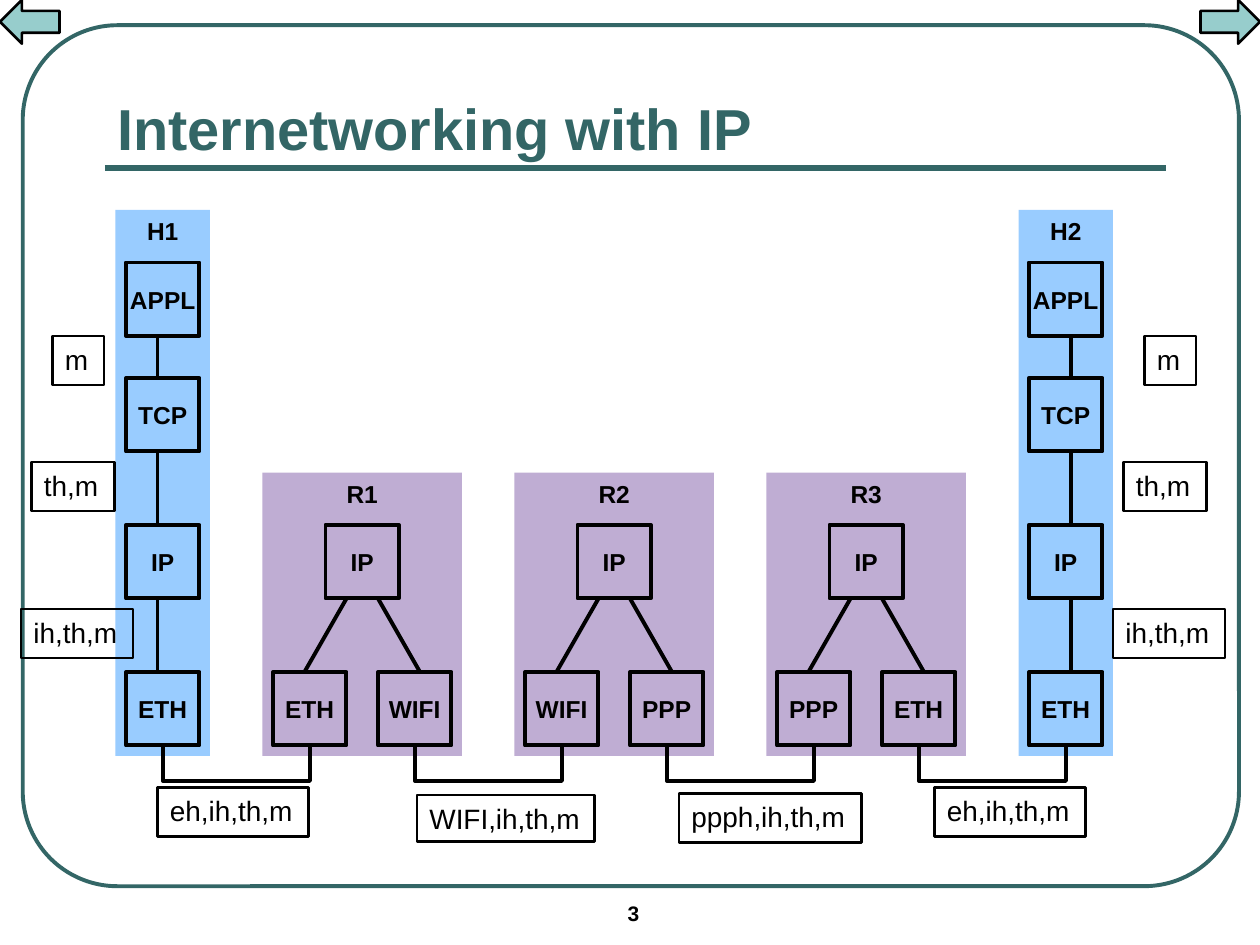
import pptx
import pptx.dml.color
import pptx.enum.shapes
import pptx.enum.text
import pptx.oxml
import pptx.oxml.ns
import pptx.util
import lxml.etree

Pt = pptx.util.Pt
RGBColor = pptx.dml.color.RGBColor
Shape = pptx.enum.shapes.MSO_SHAPE
Connector = pptx.enum.shapes.MSO_CONNECTOR
Anchor = pptx.enum.text.MSO_ANCHOR
Align = pptx.enum.text.PP_ALIGN
AutoSize = pptx.enum.text.MSO_AUTO_SIZE
qn = pptx.oxml.ns.qn

BLACK = RGBColor(0x00, 0x00, 0x00)
TEAL = RGBColor(0x33, 0x66, 0x66)
AQUA = RGBColor(0x97, 0xCD, 0xCC)
HOST_BLUE = RGBColor(0x99, 0xCC, 0xFF)
ROUTER_PURPLE = RGBColor(0xBF, 0xAD, 0xD3)

BOX = 42
IP_TOP, LINK_TOP = 300, 384


def write_text(shape, text, size=14, bold=True, color=BLACK, align=Align.CENTER,
               anchor=Anchor.TOP, wrap=False, auto_size=AutoSize.NONE):
    frame = shape.text_frame
    frame.word_wrap = wrap
    frame.auto_size = auto_size
    frame.vertical_anchor = anchor
    paragraph = frame.paragraphs[0]
    paragraph.alignment = align
    run = paragraph.add_run()
    run.text = text
    run.font.name = "Arial"
    run.font.size = Pt(size)
    run.font.bold = bold
    run.font.color.rgb = color


class Diagram:
    line_width = 2.25

    def __init__(self, slide):
        self.slide = slide

    def shape(self, kind, left, top, width, height, fill=None, line=None, line_width=line_width):
        shape = self.slide.shapes.add_shape(kind, Pt(left), Pt(top), Pt(width), Pt(height))
        shape.shadow.inherit = False
        if fill is None:
            shape.fill.background()
        else:
            shape.fill.solid()
            shape.fill.fore_color.rgb = fill
        if line is None:
            shape.line.fill.background()
        else:
            shape.line.color.rgb = line
            shape.line.width = Pt(line_width)
        return shape

    def text(self, text, left, top, width, height, **style):
        box = self.slide.shapes.add_textbox(Pt(left), Pt(top), Pt(width), Pt(height))
        write_text(box, text, align=Align.LEFT, wrap=True, **style)

    def panel(self, name, left, top, width, height, fill):
        write_text(self.shape(Shape.RECTANGLE, left, top, width, height, fill), name)

    def layer(self, name, left, top):
        box = self.shape(Shape.RECTANGLE, left, top, BOX, BOX, line=BLACK)
        write_text(box, name, anchor=Anchor.MIDDLE)

    def label(self, text, left, top, width, height=28):
        box = self.shape(Shape.RECTANGLE, left, top, width, height, line=BLACK, line_width=1.5)
        write_text(box, text, size=16, bold=False, align=Align.LEFT,
                   auto_size=AutoSize.SHAPE_TO_FIT_TEXT)

    def line(self, x1, y1, x2, y2, color=BLACK, width=line_width, kind=Connector.STRAIGHT):
        line = self.slide.shapes.add_connector(kind, Pt(x1), Pt(y1), Pt(x2), Pt(y2))
        line.line.color.rgb = color
        line.line.width = Pt(width)
        lxml.etree.SubElement(line.element.spPr, qn("a:effectLst"))
        return line

    def link(self, left, top, span, drop):
        """U-shaped connector: an elbow turned a quarter, bending below its ends."""
        thickness = 0.1
        center = left + span / 2
        link = self.line(center, top - span / 2, center + thickness, top + span / 2,
                         kind=Connector.ELBOW)
        properties = link.element.spPr
        transform = properties.find(qn("a:xfrm"))
        transform.set("rot", "16200000")
        transform.set("flipH", "1")
        geometry = properties.find(qn("a:prstGeom"))
        adjustments = geometry.find(qn("a:avLst"))
        if adjustments is None:
            adjustments = lxml.etree.SubElement(geometry, qn("a:avLst"))
        guide = lxml.etree.SubElement(adjustments, qn("a:gd"))
        guide.set("name", "adj1")
        guide.set("fmla", f"val {round(drop / thickness * 100000)}")


presentation = pptx.Presentation()
presentation.slide_width, presentation.slide_height = Pt(720), Pt(540)
slide = presentation.slides.add_slide(presentation.slide_layouts[6])
diagram = Diagram(slide)

# Frame, title rule and navigation arrows
frame = diagram.shape(Shape.ROUNDED_RECTANGLE, 13, 14.4, 695, 492, line=TEAL)
frame.adjustments[0] = 0.11
diagram.line(60, 96, 666, 96, color=TEAL, width=3)
for kind, left in ((Shape.RIGHT_ARROW, 686), (Shape.LEFT_ARROW, 0)):
    diagram.shape(kind, left, 0, 34, 25, fill=AQUA, line=BLACK, line_width=1.5)

# Title and page number
diagram.text("Internetworking with IP", 60, 42, 606, 54, size=33, color=TEAL,
             anchor=Anchor.BOTTOM)
diagram.text("3", 351.5, 511, 84, 24, size=12)

# Hosts: a full protocol stack joined by a vertical wire
host_layers = (("APPL", 150), ("TCP", 216), ("IP", IP_TOP), ("ETH", LINK_TOP))
for host, left, wire in (("H1", 66, 90), ("H2", 582, 612)):
    diagram.panel(host, left, 120, 54, 312, HOST_BLUE)
    for name, top in host_layers:
        diagram.layer(name, left + 6, top)
    for (_, upper), (_, lower) in zip(host_layers, host_layers[1:]):
        diagram.line(wire, upper + BOX, wire, lower)

# Routers: IP above two link layers
routers = (("R1", "ETH", "WIFI"), ("R2", "WIFI", "PPP"), ("R3", "PPP", "ETH"))
for index, (router, left_link, right_link) in enumerate(routers):
    left = 150 + 144 * index
    diagram.panel(router, left, 270, 114, 162, ROUTER_PURPLE)
    diagram.layer("IP", left + 36, IP_TOP)
    diagram.layer(left_link, left + 6, LINK_TOP)
    diagram.layer(right_link, left + 66, LINK_TOP)
    diagram.line(left + 48, IP_TOP + BOX, left + 24, LINK_TOP)
    diagram.line(left + 66, IP_TOP + BOX, left + 90, LINK_TOP)

# Links between neighbouring machines
for index in range(4):
    diagram.link(93 + 144 * index, 427, 84, 17)

# Message contents beside each host
for text, left, top, width in (("m", 30, 192, 29.5), ("th,m", 18, 264, 47.5),
                               ("ih,th,m", 12, 348, 64)):
    for offset in (0, 624):
        diagram.label(text, left + offset, top, width)

# Frame contents under each link
diagram.label("eh,ih,th,m", 90, 450, 86.5)
diagram.label("WIFI,ih,th,m", 238.3, 454.3, 101.5, 26.6)
diagram.label("ppph,ih,th,m", 388, 453.6, 104.4)
diagram.label("eh,ih,th,m", 534, 450, 86.5)

presentation.save("out.pptx")
